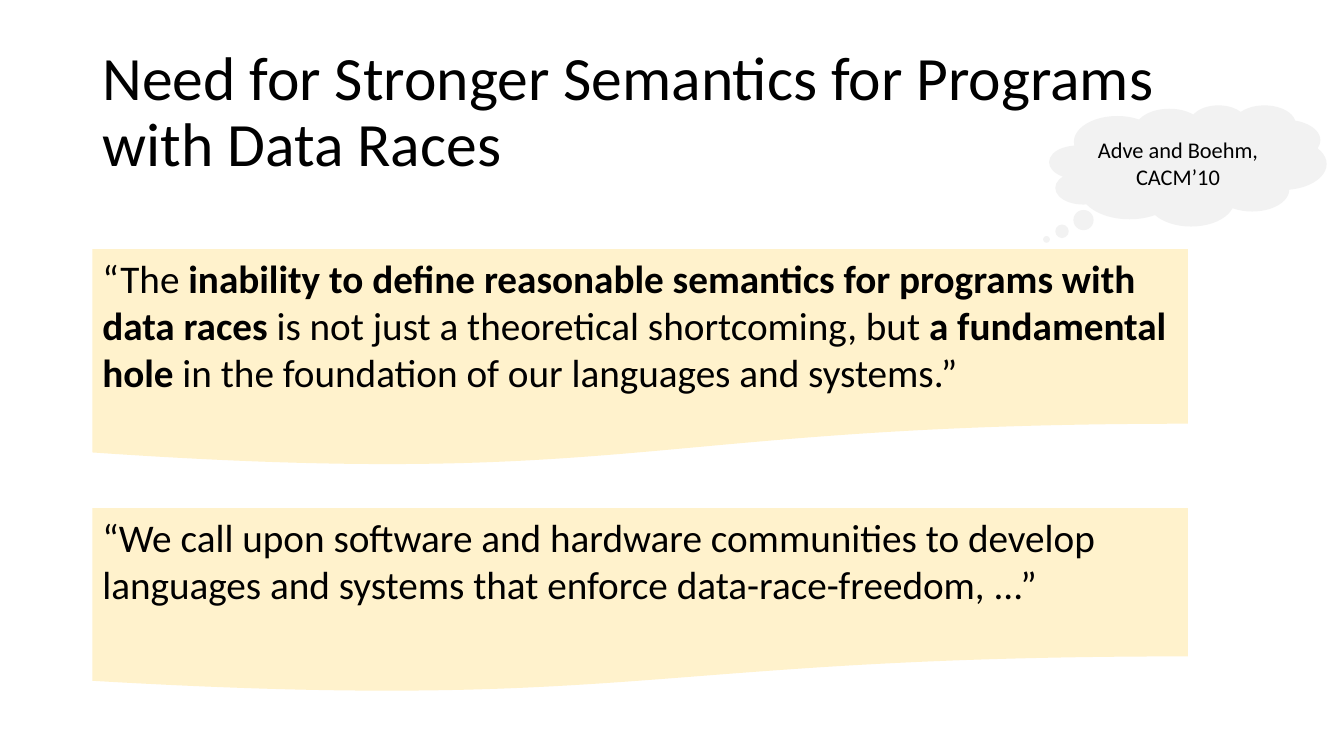
from pptx import Presentation
from pptx.dml.color import RGBColor
from pptx.enum.shapes import MSO_SHAPE as Preset
from pptx.enum.text import MSO_ANCHOR as Anchor, MSO_AUTO_SIZE as AutoSize, PP_ALIGN as Align
from pptx.util import Pt

COLORS = {"ink": "000000", "quote": "FFF2CC", "cloud": "F2F2F2"}
LEFT = 66
QUOTE_WIDTH = 782.5


class Deck:
    """Holds the slide style and draws each kind of element."""

    font = "Calibri"

    def __init__(self, width, height):
        self.prs = Presentation()
        self.prs.slide_width, self.prs.slide_height = Pt(width), Pt(height)
        self.slide = self.prs.slides.add_slide(self.prs.slide_layouts[5])

    def fill_text(self, frame, paragraphs, size, align, anchor):
        frame.word_wrap = True
        frame.auto_size = AutoSize.NONE
        frame.vertical_anchor = anchor
        for index, runs in enumerate(paragraphs):
            paragraph = frame.add_paragraph() if index else frame.paragraphs[0]
            paragraph.alignment = align
            font = paragraph.font
            font.name, font.size = self.font, Pt(size)
            font.color.rgb = RGBColor.from_string(COLORS["ink"])
            for text, bold in runs:
                run = paragraph.add_run()
                run.text = text
                if bold:
                    run.font.bold = True

    def title(self, text, left, top, width, height):
        heading = self.slide.shapes.title
        heading.left, heading.top = Pt(left), Pt(top)
        heading.width, heading.height = Pt(width), Pt(height)
        self.fill_text(heading.text_frame, [[(text, False)]], 44, Align.LEFT, Anchor.MIDDLE)
        heading.text_frame.paragraphs[0].line_spacing = 0.9

    def panel(self, preset, box, color, paragraphs, size, align, anchor):
        panel = self.slide.shapes.add_shape(preset, *map(Pt, box))
        panel.shadow.inherit = False
        panel.fill.solid()
        panel.fill.fore_color.rgb = RGBColor.from_string(COLORS[color])
        panel.line.fill.background()
        self.fill_text(panel.text_frame, paragraphs, size, align, anchor)
        return panel

    def quote(self, top, height, paragraphs):
        self.panel(Preset.FLOWCHART_DOCUMENT, (LEFT, top, QUOTE_WIDTH, height),
                   "quote", paragraphs, 28, Align.LEFT, Anchor.TOP)

    def citation(self, box, text, tail):
        cloud = self.panel(Preset.CLOUD_CALLOUT, box, "cloud", [[(text, False)]],
                           16, Align.CENTER, Anchor.MIDDLE)
        for index, offset in enumerate(tail):
            cloud.adjustments[index] = offset


def main():
    deck = Deck(960, 540)
    deck.title("Need for Stronger Semantics for Programs with Data Races", LEFT, 28.75, 828, 104.5)
    deck.quote(178, 155.5, [[
        ("“The ", False),
        ("inability to define reasonable semantics for programs with data races", True),
        (" is not just a theoretical shortcoming, but ", False),
        ("a fundamental hole", True),
        (" in the foundation of our languages and systems.”", False),
    ]])
    deck.quote(363, 132, [
        [("“We call upon software and hardware communities to develop", False)],
        [("languages and systems that enforce data-race-freedom, ...”", False)],
    ])
    deck.citation((749.5, 75, 198, 86.5), "Adve and Boehm, CACM’10", (-0.51, 0.61))
    deck.prs.save("out.pptx")


if __name__ == "__main__":
    main()
